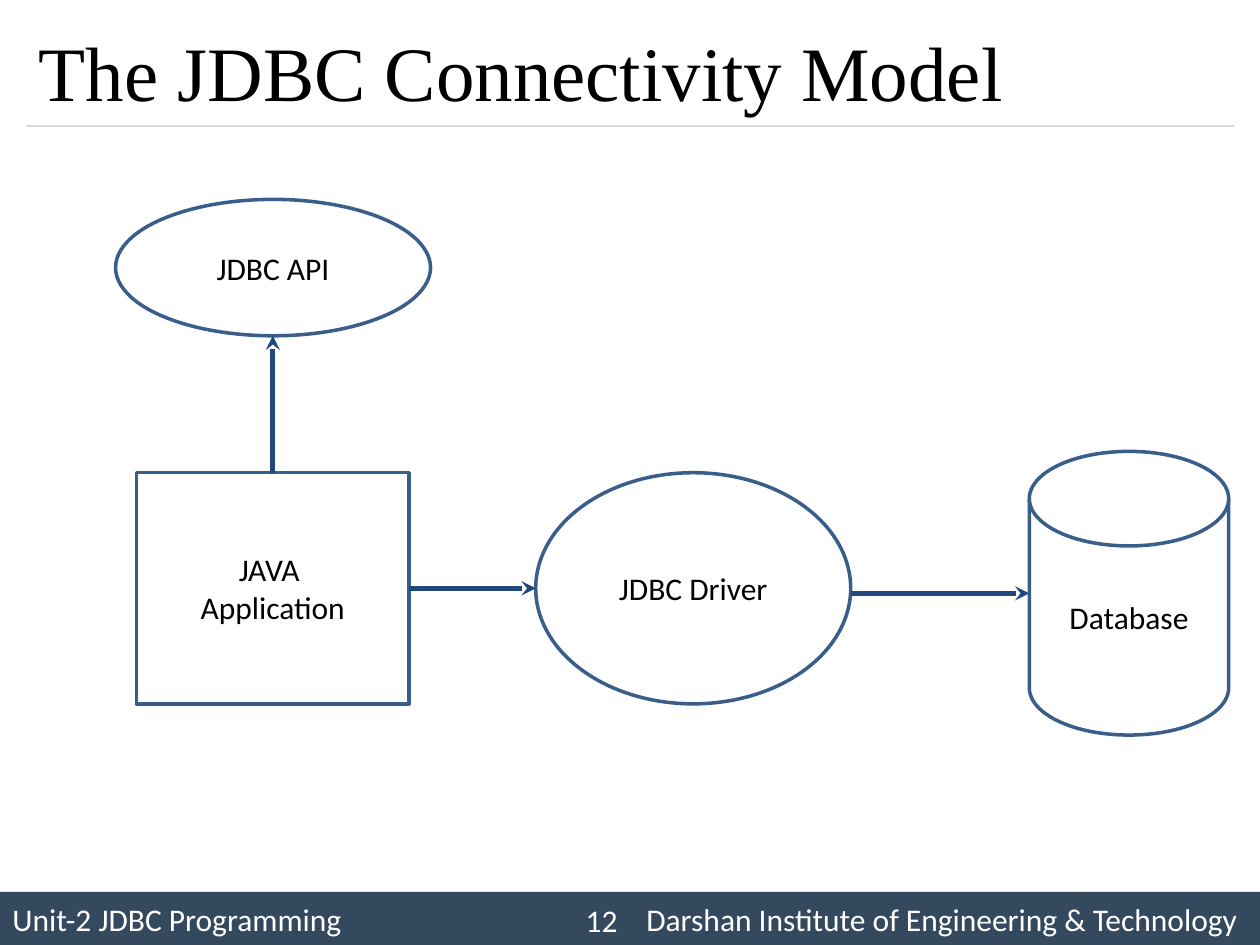
from lxml import etree
from pptx import Presentation
from pptx.dml.color import RGBColor
from pptx.enum.shapes import MSO_CONNECTOR, MSO_SHAPE
from pptx.enum.text import MSO_ANCHOR, PP_ALIGN
from pptx.oxml.ns import qn
from pptx.util import Cm, Pt

BLACK, WHITE = "000000", "FFFFFF"
OUTLINE, ARROW, RULE, FOOTER = "395E89", "1F497D", "D8D8D8", "34495E"


def color(hex_string):
    return RGBColor.from_string(hex_string)


def write(shape, lines, size=18, font="Calibri", ink=BLACK, align=PP_ALIGN.CENTER):
    """Fill a shape with one paragraph per line."""
    frame = shape.text_frame
    frame.word_wrap = True
    frame.vertical_anchor = MSO_ANCHOR.MIDDLE
    for index, line in enumerate(lines):
        paragraph = frame.add_paragraph() if index else frame.paragraphs[0]
        paragraph.alignment = align
        run = paragraph.add_run()
        run.text = line
        run.font.size = Pt(size)
        run.font.name = font
        run.font.color.rgb = color(ink)


def add_text(slide, box, text, **style):
    write(slide.shapes.add_textbox(*map(Cm, box)), [text], **style)


def add_node(slide, kind, box, lines):
    shape = slide.shapes.add_shape(kind, *map(Cm, box))
    shape.shadow.inherit = False
    shape.fill.background()
    shape.line.color.rgb = color(OUTLINE)
    shape.line.width = Pt(2)
    write(shape, lines)
    return shape


def add_line(slide, start, end, ink, width):
    line = slide.shapes.add_connector(MSO_CONNECTOR.STRAIGHT, *start, *end)
    line.line.color.rgb = color(ink)
    line.line.width = Pt(width)
    etree.SubElement(line._element.spPr, qn("a:effectLst"))
    return line


def add_arrow(slide, start, end):
    arrow = add_line(slide, start, end, ARROW, 2.75)
    etree.SubElement(arrow.line._get_or_add_ln(), qn("a:tailEnd"), type="stealth")
    return arrow


def add_footer(slide):
    """Draw the bar with a left text and a right text set by a right tab."""
    bar = slide.shapes.add_shape(MSO_SHAPE.RECTANGLE, *map(Cm, (0, 17.98, 25.4, 1.07)))
    bar.shadow.inherit = False
    bar.fill.solid()
    bar.fill.fore_color.rgb = color(FOOTER)
    bar.line.fill.background()
    properties = bar.text_frame.paragraphs[0]._p.get_or_add_pPr()
    tabs = etree.SubElement(properties, qn("a:tabLst"))
    etree.SubElement(tabs, qn("a:tab"), pos=str(Cm(24.7)), algn="r")
    write(bar, ["Unit-2 JDBC Programming\tDarshan Institute of Engineering & Technology"],
          ink=WHITE, align=PP_ALIGN.LEFT)
    add_text(slide, (10.58, 18.03, 2.12, 1.02), "12", ink=WHITE, align=PP_ALIGN.RIGHT)


def add_diagram(slide):
    application = add_node(slide, MSO_SHAPE.RECTANGLE, (2.75, 9.53, 5.5, 4.66),
                           ["JAVA ", "Application"])
    api = add_node(slide, MSO_SHAPE.OVAL, (2.33, 4.02, 6.35, 2.75), ["JDBC API"])
    driver = add_node(slide, MSO_SHAPE.OVAL, (10.8, 9.53, 6.35, 4.66), ["JDBC Driver"])
    database = add_node(slide, MSO_SHAPE.FLOWCHART_MAGNETIC_DISK,
                        (20.75, 9.1, 4.02, 5.72), ["Database"])

    center = application.left + application.width // 2
    middle = application.top + application.height // 2
    database_middle = database.top + database.height // 2
    to_api = add_arrow(slide, (center, application.top), (center, api.top + api.height))
    to_api.begin_connect(application, 0)
    to_driver = add_arrow(slide, (application.left + application.width, middle),
                          (driver.left, middle))
    to_driver.begin_connect(application, 3)
    add_arrow(slide, (driver.left + driver.width, database_middle),
              (database.left, database_middle))


def main():
    presentation = Presentation()
    presentation.slide_width, presentation.slide_height = Cm(25.4), Cm(19.05)
    slide = presentation.slides.add_slide(presentation.slide_layouts[6])
    add_footer(slide)
    add_line(slide, (Cm(0.53), Cm(2.54)), (Cm(24.87), Cm(2.54)), RULE, 0.75)
    add_text(slide, (0.53, 0.3, 24.34, 2.24), "The JDBC Connectivity Model",
             size=44, font="Times New Roman", align=PP_ALIGN.LEFT)
    add_diagram(slide)
    presentation.save("out.pptx")


if __name__ == "__main__":
    main()
